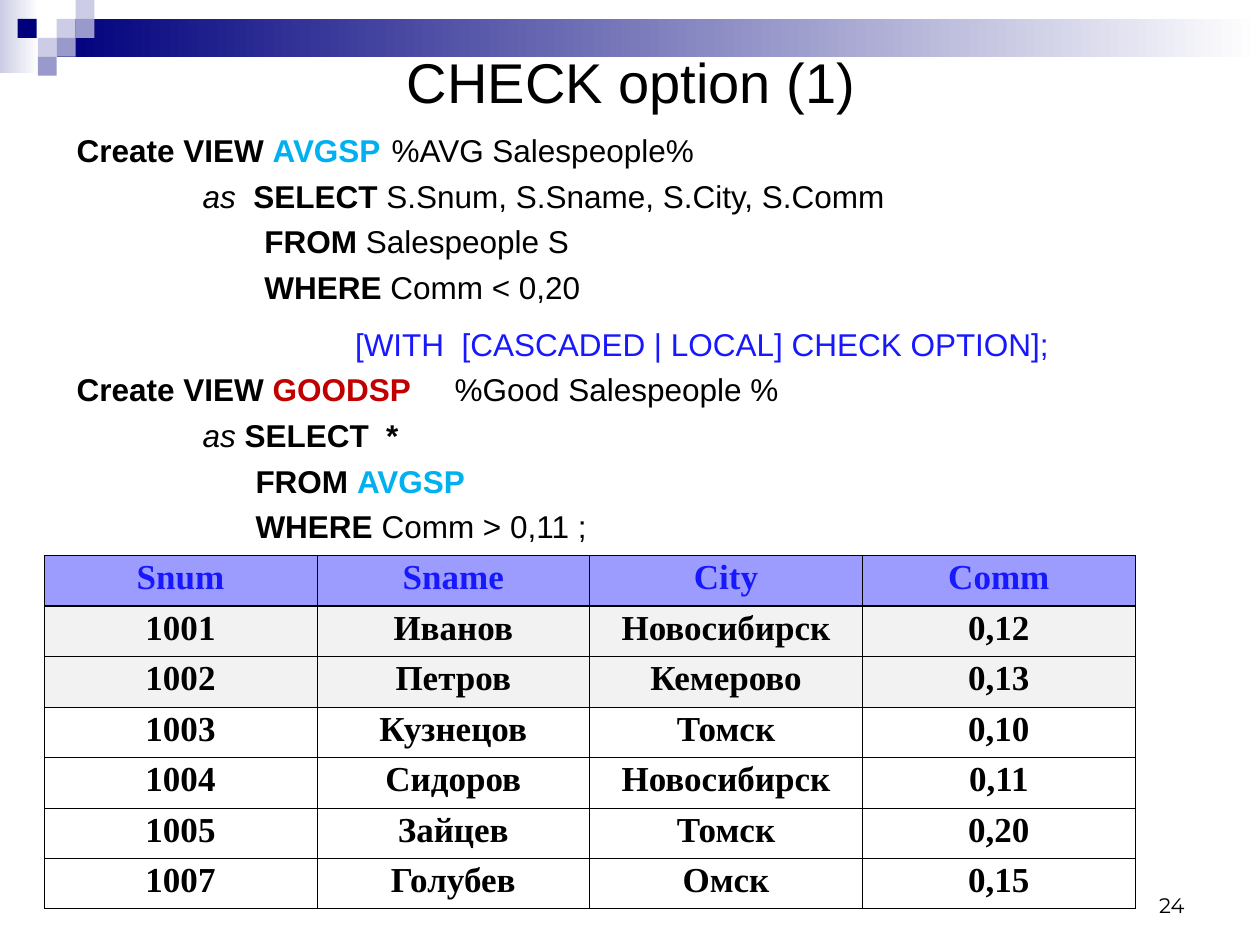
from lxml.etree import SubElement
from pptx import Presentation
from pptx.dml.color import RGBColor
from pptx.enum.shapes import MSO_SHAPE
from pptx.enum.text import MSO_ANCHOR, PP_ALIGN
from pptx.oxml import parse_xml
from pptx.oxml.ns import nsdecls, qn
from pptx.util import Inches, Pt

COLORS = {
    "black": "000000", "white": "FFFFFF", "navy": "00007D", "lilac": "CCCCE6",
    "violet": "9999CC", "sky": "00B0F0", "red": "C00000", "blue": "1818FF",
    "header": "9C9CFF", "shade": "F2F2F2",
}

SQUARES = [
    (0.45, 0.15, "lilac"), (0.6, 0, "lilac"), (0.6, 0.15, "violet"), (0.3, 0.3, "lilac"),
    (0.14, 0.15, "navy"), (0.45, 0.3, "violet"), (0.3, 0.45, "violet"),
]

QUERY = [
    (0, [("Create VIEW ", "b", "black"), ("AVGSP\t", "b", "sky"), ("%AVG Salespeople%", "", "black")]),
    (1, [("as  ", "i", "black"), ("SELECT", "b", "black"), (" S.Snum, S.Sname, S.City, S.Comm", "", "black")]),
    (1.49, [("FROM", "b", "black"), (" Salespeople S", "", "black")]),
    (1.49, [("WHERE", "b", "black"), (" Comm < 0,20", "", "black")]),
    (2.21, [("[WITH  [CASCADED | LOCAL] CHECK OPTION];", "", "blue")]),
    (0, [("Create VIEW ", "b", "black"), ("GOODSP\t", "b", "red"), ("%Good Salespeople %", "", "black")]),
    (1, [("as ", "i", "black"), ("SELECT  *", "b", "black")]),
    (1.42, [("FROM ", "b", "black"), ("AVGSP", "b", "sky")]),
    (1.42, [("WHERE", "b", "black"), (" Comm > 0,11 ;", "", "black")]),
]
OPTION_LINE = 4

SALESPEOPLE = [
    ("Snum", "Sname", "City", "Comm"),
    ("1001", "Иванов", "Новосибирск", "0,12"),
    ("1002", "Петров", "Кемерово", "0,13"),
    ("1003", "Кузнецов", "Томск", "0,10"),
    ("1004", "Сидоров", "Новосибирск", "0,11"),
    ("1005", "Зайцев", "Томск", "0,20"),
    ("1007", "Голубев", "Омск", "0,15"),
]
ROW_FILLS = ["header", "shade", "shade"]


class SlideBuilder:
    """Holds the text style and the current slide, and draws its elements."""

    def __init__(self, page, font="Arial"):
        self.page = page
        self.font = font

    def color(self, name):
        return RGBColor.from_string(COLORS[name])

    def style(self, span, size, color="black", font=None, bold=False, italic=False):
        span.font.name = font or self.font
        span.font.size = Pt(size)
        span.font.bold = bold
        span.font.italic = italic
        span.font.color.rgb = self.color(color)

    def rectangle(self, left, top, width, height, *colors):
        shape = self.page.shapes.add_shape(
            MSO_SHAPE.RECTANGLE, Inches(left), Inches(top), Inches(width), Inches(height))
        shape.shadow.inherit = False
        shape.line.fill.background()
        if len(colors) == 1:
            shape.fill.solid()
            shape.fill.fore_color.rgb = self.color(colors[0])
        else:
            shape.fill.gradient()
            shape.fill.gradient_angle = 0
            for stop, name in zip(shape.fill.gradient_stops, colors):
                stop.color.rgb = self.color(name)

    def title(self, text, left, top, width, height):
        box = self.page.shapes.title
        box.left, box.top, box.width, box.height = map(Inches, (left, top, width, height))
        box.text_frame.text = text
        box.text_frame.vertical_anchor = MSO_ANCHOR.MIDDLE
        para = box.text_frame.paragraphs[0]
        para.alignment = PP_ALIGN.CENTER
        self.style(para.runs[0], 32)

    def text_box(self, left, top, width, height):
        box = self.page.shapes.add_textbox(Inches(left), Inches(top), Inches(width), Inches(height))
        box.text_frame.word_wrap = True
        return box.text_frame

    def query(self, lines, left, top, width, height):
        frame = self.text_box(left, top, width, height)
        for index, (indent, parts) in enumerate(lines):
            para = frame.add_paragraph() if index else frame.paragraphs[0]
            properties = para._p.get_or_add_pPr()
            properties.set("marL", str(Inches(indent)))
            properties.set("indent", "0")
            if indent == 0:
                tabs = SubElement(properties, qn("a:tabLst"))
                SubElement(tabs, qn("a:tab"), pos=str(Inches(3)), algn="l")
            if index == OPTION_LINE:
                para.line_spacing = 1.5
            elif index:
                para.space_before = Pt(4.5)
            for text, weight, color in parts:
                span = para.add_run()
                span.text = text
                self.style(span, 18, color, bold=weight == "b", italic=weight == "i")

    def border(self, cell, side, width):
        line = parse_xml(
            f'<a:{side} {nsdecls("a")} w="{Pt(width)}"><a:solidFill>'
            f'<a:srgbClr val="{COLORS["black"]}"/></a:solidFill></a:{side}>')
        cell._tc.get_or_add_tcPr().append(line)

    def table(self, rows, left, top, width, height):
        table = self.page.shapes.add_table(
            len(rows), len(rows[0]), Inches(left), Inches(top), Inches(width), Inches(height)).table
        table.first_row = table.horz_banding = False
        for row, values in enumerate(rows):
            for column, value in enumerate(values):
                cell = table.cell(row, column)
                cell.text_frame.text = value
                para = cell.text_frame.paragraphs[0]
                para.alignment = PP_ALIGN.CENTER
                para.line_spacing = 0.9
                self.style(para.runs[0], 20, "black" if row else "blue", "Times New Roman", bold=True)
                for side in ("lnL", "lnR"):
                    self.border(cell, side, 0.45)
                self.border(cell, "lnT", 0.96 if row < 2 else 0.45)
                self.border(cell, "lnB", 0.45 if row else 0.96)
                if row < len(ROW_FILLS):
                    cell.fill.solid()
                    cell.fill.fore_color.rgb = self.color(ROW_FILLS[row])
                else:
                    cell.fill.background()

    def page_number(self, text, left, top, width, height):
        frame = self.text_box(left, top, width, height)
        frame.text = text
        frame.vertical_anchor = MSO_ANCHOR.BOTTOM
        para = frame.paragraphs[0]
        para.alignment = PP_ALIGN.RIGHT
        self.style(para.runs[0], 12, font="Montserrat")


def main():
    deck = Presentation()
    deck.slide_width, deck.slide_height = Inches(10), Inches(7.5)
    builder = SlideBuilder(deck.slides.add_slide(deck.slide_layouts[5]))
    builder.rectangle(0, 0, 0.31, 0.58, "lilac", "white")
    builder.rectangle(0.45, 0.15, 9.55, 0.3, "navy", "white")
    for left, top, color in SQUARES:
        builder.rectangle(left, top, 0.15, 0.15, color)
    builder.title("CHECK option (1)", 0.51, 0.28, 9, 0.73)
    builder.query(QUERY, 0.51, 0.99, 9, 6.38)
    builder.table(SALESPEOPLE, 0.35, 4.41, 8.66, 2.8)
    builder.page_number("24", 7.17, 6.83, 2.33, 0.5)
    deck.save("out.pptx")


if __name__ == "__main__":
    main()
